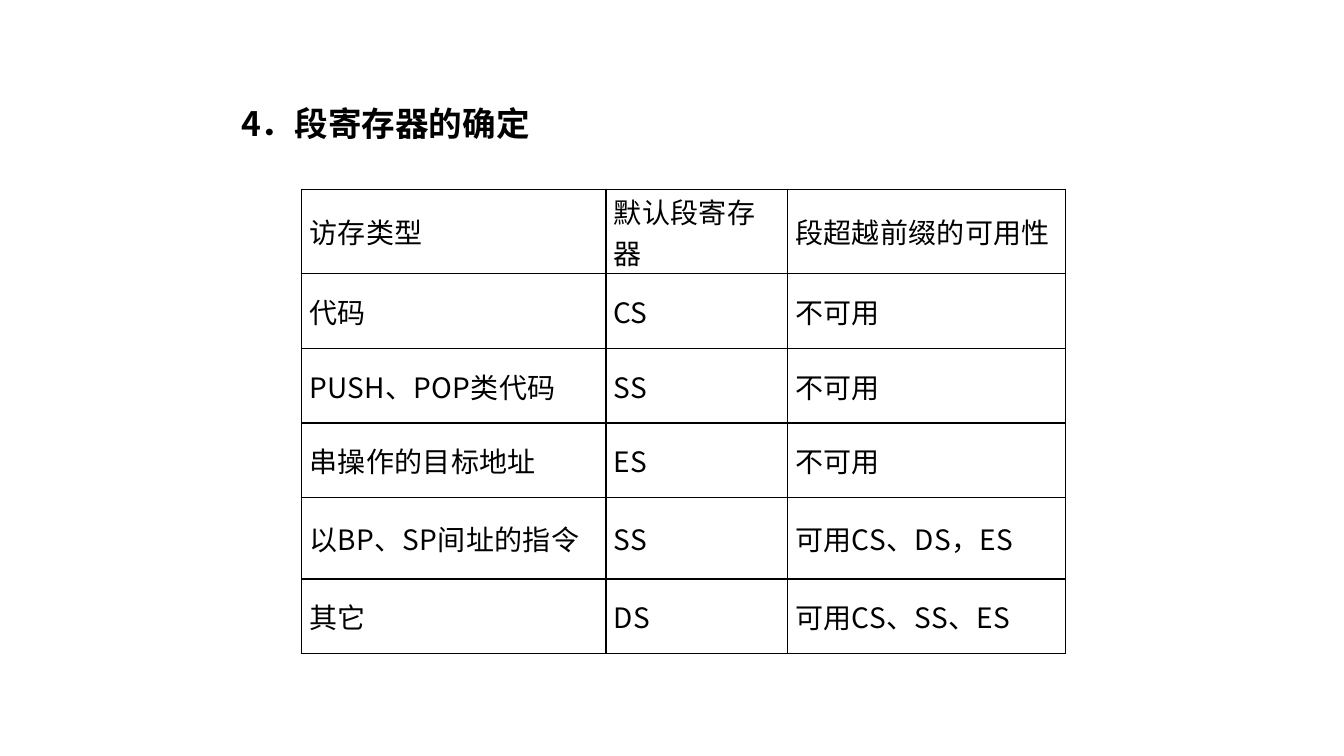
from lxml.etree import SubElement
from pptx import Presentation
from pptx.dml.color import RGBColor
from pptx.enum.text import MSO_ANCHOR, MSO_AUTO_SIZE, PP_ALIGN
from pptx.oxml import parse_xml
from pptx.oxml.ns import nsdecls, qn
from pptx.util import Cm, Pt

FONT = "Noto Sans CJK SC"
INK = "000000"
COLUMN_WIDTHS = (7.67, 4.57, 7.01)
HEADER_HEIGHT, ROW_HEIGHT = 2.13, 1.88
REGISTER_RULES = (
    ("访存类型", "默认段寄存器", "段超越前缀的可用性"),
    ("代码", "CS", "不可用"),
    ("PUSH、POP类代码", "SS", "不可用"),
    ("串操作的目标地址", "ES", "不可用"),
    ("以BP、SP间址的指令", "SS", "可用CS、DS，ES"),
    ("其它", "DS", "可用CS、SS、ES"),
)


def color(hex_value):
    """Return the colour for a hex string."""
    return RGBColor.from_string(hex_value)


def add_text(paragraph, text, size, bold=False, spacing=0):
    """Append a run; spacing is in hundredths of a point."""
    run = paragraph.add_run()
    run.text = text
    run.font.name = FONT
    run.font.size = Pt(size)
    run.font.bold = bold
    run.font.color.rgb = color(INK)
    properties = run.font._element
    properties.set("lang", "zh-CN")
    properties.set("spc", str(spacing))
    SubElement(properties, qn("a:ea")).set("typeface", FONT)


def add_borders(cell):
    """Draw a thin line on all four sides of a cell."""
    properties = cell._tc.get_or_add_tcPr()
    for index, side in enumerate(("lnL", "lnR", "lnT", "lnB")):
        properties.insert(index, parse_xml(
            f'<a:{side} {nsdecls("a")} w="{Pt(1)}"><a:solidFill>'
            f'<a:srgbClr val="{INK}"/></a:solidFill></a:{side}>'))


def place_heading(slide, left, top, width, height):
    """Move and format the title in the given box."""
    heading = slide.shapes.title
    heading.left, heading.top = Cm(left), Cm(top)
    heading.width, heading.height = Cm(width), Cm(height)
    frame = heading.text_frame
    frame.word_wrap = True
    frame.auto_size = MSO_AUTO_SIZE.NONE
    frame.vertical_anchor = MSO_ANCHOR.TOP
    paragraph = frame.paragraphs[0]
    paragraph.alignment = PP_ALIGN.LEFT
    paragraph.line_spacing = 0.9
    add_text(paragraph, "4．段寄存器的确定", 24, bold=True)


def fill_cell(cell, text):
    """Format one cell and write its text."""
    cell.vertical_anchor = MSO_ANCHOR.MIDDLE
    cell.margin_left = cell.margin_right = Cm(0.2)
    cell.margin_top = cell.margin_bottom = 0
    cell.fill.background()
    add_borders(cell)
    spacing = 0 if text.isascii() else 20
    add_text(cell.text_frame.paragraphs[0], text, 20, spacing=spacing)


def place_register_table(slide, left, top):
    """Build the segment register table from its top left corner."""
    heights = [HEADER_HEIGHT] + [ROW_HEIGHT] * (len(REGISTER_RULES) - 1)
    table = slide.shapes.add_table(
        len(heights), len(COLUMN_WIDTHS), Cm(left), Cm(top),
        Cm(sum(COLUMN_WIDTHS)), Cm(sum(heights))).table
    table.first_row = table.horz_banding = False
    for column, width in zip(table.columns, COLUMN_WIDTHS):
        column.width = Cm(width)
    for row, height, rule in zip(table.rows, heights, REGISTER_RULES):
        row.height = Cm(height)
        for cell, text in zip(row.cells, rule):
            fill_cell(cell, text)


def main():
    """Build and save the slide."""
    presentation = Presentation()
    presentation.slide_width, presentation.slide_height = Cm(33.87), Cm(19.05)
    slide = presentation.slides.add_slide(presentation.slide_layouts[5])
    place_heading(slide, 5.82, 2.59, 21.59, 11.43)
    place_register_table(slide, 7.6, 4.77)
    presentation.save("out.pptx")


if __name__ == "__main__":
    main()
